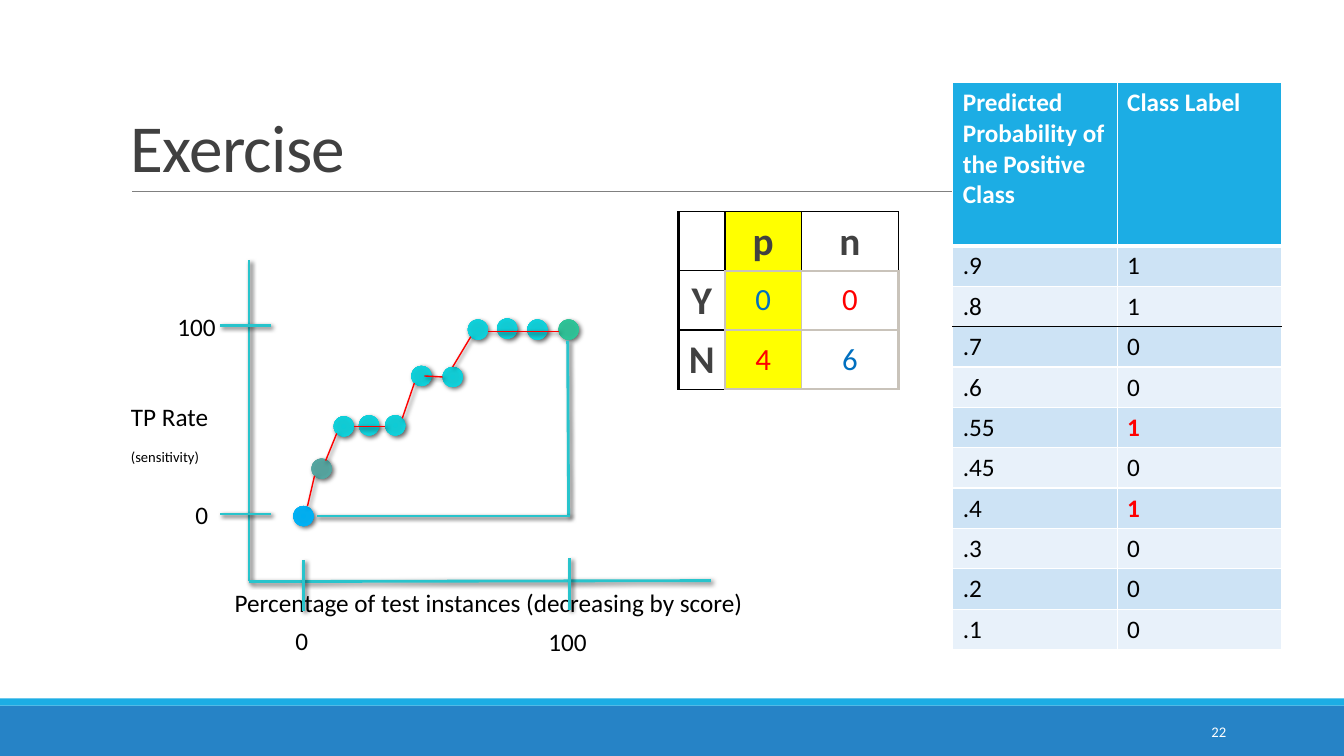
from pptx import Presentation
from pptx.dml.color import RGBColor
from pptx.enum.shapes import MSO_CONNECTOR, MSO_SHAPE
from pptx.enum.text import MSO_ANCHOR, PP_ALIGN
from pptx.oxml import parse_xml
from pptx.oxml.ns import nsdecls
from pptx.util import Inches, Pt

TEAL, RED, BLUE, TAN = "28C4CC", "FF0000", "0070C0", "C9C3BA"
BLACK, WHITE, DARK, SKY = "000000", "FFFFFF", "414141", "1CADE4"
START = ("00ADEF", "03ADEE", "00B1F5", "12B1EE")
END = ("2DBE94", "30BD94", "2EC397", "3CC09A")
SECOND = ("52A19C", "55A19C", "54A5A0", "5FA6A2")
POINT = ("0ECBD5", "12CAD3", "0FD0DA", "20CBD4")


def rgb(value):
    return RGBColor.from_string(value)


def inches(values):
    return [Inches(v) for v in values]


class SlideBuilder:
    font = {"name": "Calibri", "size": Pt(18), "bold": False}

    def __init__(self, slide):
        self.s = slide

    def add_run(self, p, text, color=BLACK, align=PP_ALIGN.LEFT, **fmt):
        p.alignment = align
        r = p.add_run()
        r.text = text
        for key, value in {**self.font, **fmt}.items():
            setattr(r.font, key, value)
        r.font.color.rgb = rgb(color)
        return r

    def text(self, box, text, color=BLACK, wrap=False, anchor=MSO_ANCHOR.TOP, **fmt):
        tf = self.s.shapes.add_textbox(*inches(box)).text_frame
        tf.word_wrap = wrap
        tf.vertical_anchor = anchor
        self.add_run(tf.paragraphs[0], text, color, **fmt)
        return tf

    def shadow(self, sp, blur):
        sp._element.spPr.append(parse_xml(
            f'<a:effectLst {nsdecls("a")}><a:outerShdw blurRad="{Pt(blur)}" dist="{Pt(2)}" '
            'dir="2700000" algn="ctr" rotWithShape="0"><a:srgbClr val="000000">'
            '<a:alpha val="60000"/></a:srgbClr></a:outerShdw></a:effectLst>'))

    def line(self, ends, color=TEAL, width=2, shadow=True):
        sp = self.s.shapes.add_connector(MSO_CONNECTOR.STRAIGHT, *inches(ends))
        sp.line.color.rgb = rgb(color)
        sp.line.width = Pt(width)
        if shadow:
            self.shadow(sp, 3)
        else:
            sp._element.spPr.append(parse_xml(f'<a:effectLst {nsdecls("a")}/>'))

    def bar(self, box, color):
        sp = self.s.shapes.add_shape(MSO_SHAPE.RECTANGLE, *inches(box))
        sp.shadow.inherit = False
        sp.fill.solid()
        sp.fill.fore_color.rgb = rgb(color)
        sp.line.fill.background()

    def dot(self, x, y, colors):
        sp = self.s.shapes.add_shape(MSO_SHAPE.OVAL, *inches((x, y, 0.2, 0.2)))
        stops = "".join(f'<a:gs pos="{pos}000"><a:srgbClr val="{c}"/></a:gs>'
                        for pos, c in zip((0, 34, 70, 100), colors))
        sp._element.spPr.append(parse_xml(
            f'<a:gradFill {nsdecls("a")} rotWithShape="1"><a:gsLst>{stops}</a:gsLst>'
            '<a:path path="circle"><a:fillToRect l="100000" t="100000" r="100000" '
            'b="100000"/></a:path></a:gradFill>'))
        sp.line.fill.background()
        self.shadow(sp, 3.5)

    def table(self, left, top, widths, heights):
        box = inches((left, top, sum(widths), sum(heights)))
        tbl = self.s.shapes.add_table(len(heights), len(widths), *box).table
        tbl.first_row = tbl.horz_banding = False
        for col, width in zip(tbl.columns, widths):
            col.width = Inches(width)
        for row, height in zip(tbl.rows, heights):
            row.height = Inches(height)
        return tbl

    def cell(self, cell, text, fill, borders, color=BLACK, **fmt):
        if fill:
            cell.fill.solid()
            cell.fill.fore_color.rgb = rgb(fill)
        else:
            cell.fill.background()
        tcPr = cell._tc.get_or_add_tcPr()
        for i, side in enumerate("LRTB"):
            line_color, width = borders[side]
            tcPr.insert(i, parse_xml(
                f'<a:ln{side} {nsdecls("a")} w="{Pt(width)}"><a:solidFill>'
                f'<a:srgbClr val="{line_color}"/></a:solidFill></a:ln{side}>'))
        if text:
            self.add_run(cell.text_frame.paragraphs[0], text, color, **fmt)


def add_scores(b):
    rows = [("Predicted Probability of the Positive Class", "Class Label"),
            (".9", "1"), (".8", "1"), (".7", "0"), (".6", "0"), (".55", "1"),
            (".45", "0"), (".4", "1"), (".3", "0"), (".2", "0"), (".1", "0")]
    tbl = b.table(9.45, 0.82, [1.63] * 2, [1.62] + [0.4] * 10)
    for i, row in enumerate(rows):
        borders = dict.fromkeys("LRTB", (WHITE, 1))
        if i < 2:
            borders["B" if i == 0 else "T"] = (WHITE, 3)
        elif i < 4:
            borders["B" if i == 2 else "T"] = (BLACK, 1)
        fill = SKY if i == 0 else ("E8F1FA", "CDE3F5")[i % 2]
        for j, text in enumerate(row):
            marked = j == 1 and row[0] in (".55", ".4")
            color = WHITE if i == 0 else RED if marked else BLACK
            b.cell(tbl.cell(i, j), text, fill, borders, color, bold=i == 0 or marked)


def add_confusion_matrix(b):
    rows = [("", "p", "n"), ("Y", "0", "0"), ("N", "4", "6")]
    tbl = b.table(6.73, 2.1, [0.46, 0.76, 0.96], [0.58] * 3)
    for i, row in enumerate(rows):
        for j, text in enumerate(row):
            inner = i > 0 and j > 0
            borders = dict.fromkeys("LRTB", (BLACK, 1))
            if inner:
                borders = {"L": (TAN, 3 - j), "R": (TAN, j),
                           "T": (TAN, 3 - i), "B": (TAN, i)}
            elif i > 0:
                borders.update(L=(BLACK, 2), R=(TAN, 2))
            elif j > 0:
                borders["B"] = (TAN, 2)
            else:
                borders["L"] = (BLACK, 2)
            c = tbl.cell(i, j)
            c.vertical_anchor = MSO_ANCHOR.MIDDLE
            for side in ("left", "right", "top", "bottom"):
                setattr(c, f"margin_{side}", Inches(0.06))
            color = DARK if not inner else BLUE if i == j else RED
            b.cell(c, text, "FFFF00" if j == 1 else None, borders, color,
                   align=PP_ALIGN.CENTER, size=Pt(22 if inner else 28), bold=not inner)


def add_chart_axes(b):
    b.text((2.23, 5.78, 5.36, 0.4), "Percentage of test instances (decreasing by score)")
    for ends in [(2.47, 2.58, 2.47, 5.76), (7.05, 5.76, 2.47, 5.77),
                 (2.69, 3.23, 2.18, 3.23), (2.69, 5.1, 2.18, 5.1),
                 (3.01, 6.06, 3.01, 5.56), (5.65, 6.05, 5.65, 5.54)]:
        b.line(ends)
    for x, y, w, label in [(2.83, 6.15, 0.45, "0"), (1.84, 4.9, 0.34, "0"),
                           (1.66, 3.04, 0.59, "100"), (5.34, 6.16, 0.59, "100")]:
        b.text((x, y, w, 0.4), label, wrap=w == 0.45)
    tf = b.text((1.2, 3.93, 1.1, 0.61), "TP Rate")
    r = b.add_run(tf.add_paragraph(), "(sensitivity)")
    r.font._element.set("baseline", "-25000")


def add_curve(b):
    for x, y, colors in [(2.91, 5.02, START), (5.54, 3.17, END), (3.09, 4.55, SECOND)]:
        b.dot(x, y, colors)
    for x, y in [(3.31, 4.13), (3.56, 4.12), (3.82, 4.12), (4.08, 3.63),
                 (5.23, 3.17), (4.39, 3.64), (4.64, 3.17), (4.93, 3.16)]:
        b.dot(x, y, POINT)
    for ends in [(4.49, 3.64, 4.67, 3.34), (4.39, 3.74, 4.21, 3.73),
                 (3.82, 4.23, 3.51, 4.23), (3.99, 4.15, 4.11, 3.8),
                 (3.23, 4.57, 3.34, 4.3), (3.12, 4.72, 3.05, 5.02),
                 (4.84, 3.29, 5.54, 3.29)]:
        b.line(ends, RED, 1)
    for ends in [(5.64, 5.12, 5.63, 3.38), (5.65, 5.12, 3.14, 5.12)]:
        b.line(ends)


def main():
    prs = Presentation()
    prs.slide_width, prs.slide_height = Inches(13.33), Inches(7.5)
    b = SlideBuilder(prs.slides.add_slide(prs.slide_layouts[6]))
    b.bar((0, 7, 13.33, 0.5), "2683C6")
    b.bar((0, 6.93, 13.33, 0.07), SKY)
    b.line((1.31, 1.9, 12.21, 1.9), "808080", 0.5, shadow=False)
    tf = b.text((1.2, 0.31, 11, 1.59), "Exercise", "404040", True,
                MSO_ANCHOR.BOTTOM, size=Pt(48))
    p = tf.paragraphs[0]
    p.line_spacing = 0.85
    p.runs[0].font._element.set("spc", "-50")
    b.text((10.83, 7.06, 1.43, 0.4), "22", WHITE, True, MSO_ANCHOR.MIDDLE,
           align=PP_ALIGN.RIGHT, size=Pt(10.5))
    add_scores(b)
    add_chart_axes(b)
    add_confusion_matrix(b)
    add_curve(b)
    prs.save("out.pptx")


if __name__ == "__main__":
    main()
